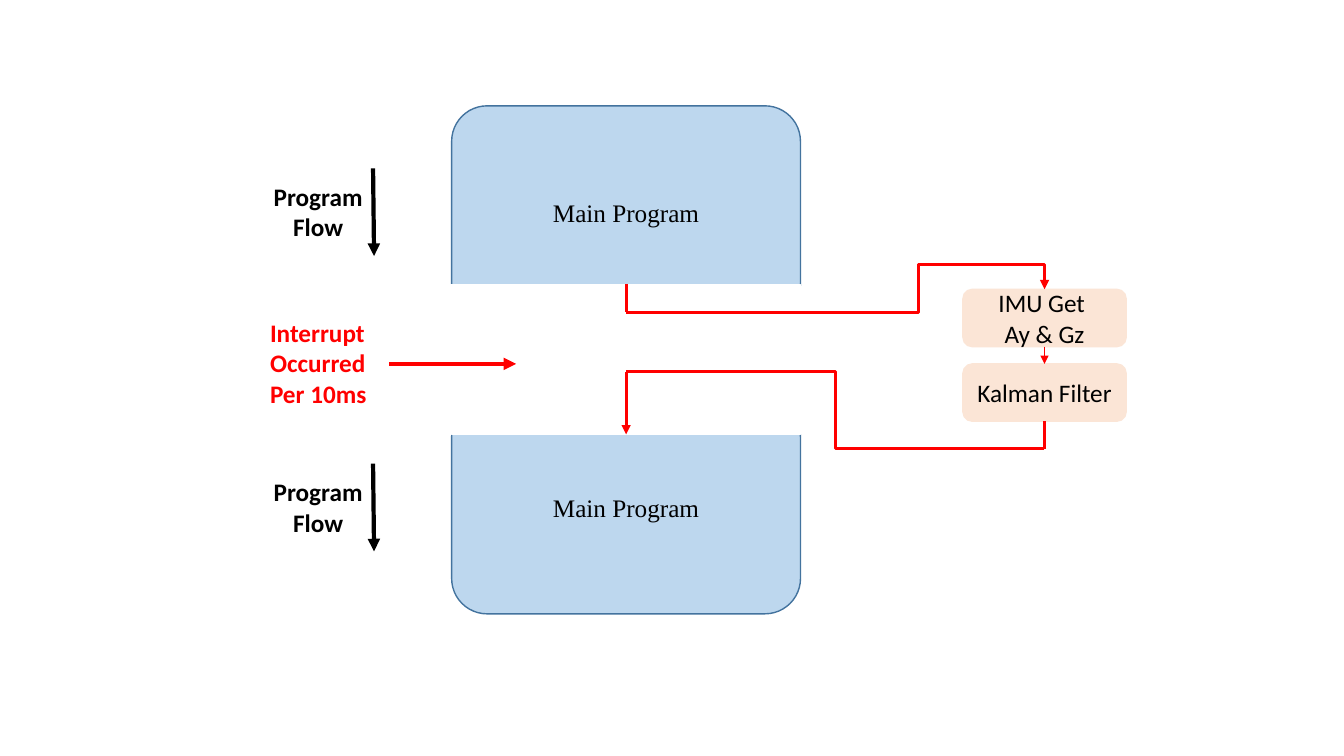
import dataclasses

import lxml.etree
import pptx
import pptx.dml.color
import pptx.enum.shapes
import pptx.enum.text
import pptx.oxml.ns
import pptx.util

Inches = pptx.util.Inches
Kind = pptx.enum.shapes.MSO_SHAPE
Wire = pptx.enum.shapes.MSO_CONNECTOR
Align = pptx.enum.text.PP_ALIGN
qn = pptx.oxml.ns.qn


@dataclasses.dataclass(frozen=True)
class Theme:
    black: str = "000000"
    white: str = "FFFFFF"
    red: str = "FF0000"
    blue: str = "BDD7EE"
    edge: str = "43739E"
    peach: str = "FBE5D6"
    sans: str = "Calibri"
    serif: str = "Times New Roman"
    size: float = 18
    thin: float = 0.5
    rim: float = 1
    route: float = 2.25
    thick: float = 3


def tint(code):
    return pptx.dml.color.RGBColor.from_string(code)


class Board:
    def __init__(self, slide, theme):
        self.slide = slide
        self.theme = theme

    def fill_text(self, frame, lines, font, color, bold=False,
                  align=Align.CENTER):
        for i, line in enumerate(lines):
            para = frame.paragraphs[0] if i == 0 else frame.add_paragraph()
            para.alignment = align
            run = para.add_run()
            run.text = line
            run.font.name = font
            run.font.size = pptx.util.Pt(self.theme.size)
            run.font.bold = bold
            run.font.color.rgb = tint(color)

    def block(self, kind, place, fill, edge, lines=(), font=None):
        shape = self.slide.shapes.add_shape(kind, *map(Inches, place))
        shape.shadow.inherit = False
        shape.fill.solid()
        shape.fill.fore_color.rgb = tint(fill)
        shape.line.color.rgb = tint(edge)
        shape.line.width = pptx.util.Pt(self.theme.rim)
        shape.text_frame.vertical_anchor = pptx.enum.text.MSO_ANCHOR.MIDDLE
        self.fill_text(shape.text_frame, lines, font, self.theme.black)
        return shape

    def label(self, place, lines, color, align=Align.CENTER):
        frame = self.slide.shapes.add_textbox(*map(Inches, place)).text_frame
        frame.word_wrap = False
        frame.auto_size = pptx.enum.text.MSO_AUTO_SIZE.SHAPE_TO_FIT_TEXT
        self.fill_text(frame, lines, self.theme.sans, color, True, align)

    def link(self, start, end, color, width, arrow=False, kind=Wire.STRAIGHT,
             source=None, target=None):
        line = self.slide.shapes.add_connector(
            kind, *map(Inches, (*start, *end)))
        line.line.color.rgb = tint(color)
        line.line.width = pptx.util.Pt(width)
        if arrow:
            lxml.etree.SubElement(
                line.line._get_or_add_ln(), qn("a:tailEnd"), type="triangle")
        lxml.etree.SubElement(line._element.spPr, qn("a:effectLst"))
        if source is not None:
            line.begin_connect(*source)
        if target is not None:
            line.end_connect(*target)
        return line

    def bend(self, line, preset, *ratios):
        shape = line._element.spPr.find(qn("a:prstGeom"))
        shape.set("prst", preset)
        guides = shape.find(qn("a:avLst"))
        for i, ratio in enumerate(ratios, 1):
            lxml.etree.SubElement(guides, qn("a:gd"), name=f"adj{i}",
                                  fmla=f"val {round(ratio * 100000)}")


def main():
    deck = pptx.Presentation()
    deck.slide_width = Inches(13.33)
    deck.slide_height = Inches(7.5)
    theme = Theme()
    board = Board(deck.slides.add_slide(deck.slide_layouts[6]), theme)

    for top in (1.05, 3.98):
        board.block(Kind.ROUNDED_RECTANGLE, (4.48, top, 3.46, 2.11),
                    theme.blue, theme.edge, ["Main Program"], theme.serif)
    gap = board.block(Kind.RECTANGLE, (4.48, 2.82, 3.46, 1.49),
                      theme.white, theme.white)

    for top in (1.67, 4.6):
        board.link((3.7, top), (3.71, top + 0.87), theme.black, theme.thick,
                   arrow=True)
        board.label((2.61, top + 0.08, 1.09, 0.71), ["Program", "Flow"],
                    theme.black)

    board.link((3.86, 3.61), (5.12, 3.61), theme.red, theme.thick, arrow=True)
    board.label((2.58, 3.1, 1.17, 1.01),
                ["Interrupt", "Occurred", "Per 10ms"], theme.red, Align.LEFT)

    sensor, filter_box = [
        board.block(Kind.ROUNDED_RECTANGLE, (9.55, top, 1.62, 0.57),
                    theme.peach, theme.peach, lines, theme.sans)
        for top, lines in ((2.87, ["IMU Get ", "Ay & Gz"]),
                           (3.61, ["Kalman Filter"]))]

    main_x, task_x = 6.21, 10.36
    red, width = theme.red, theme.route
    board.link((main_x, 2.82), (main_x, 3.1), red, width, source=(gap, 0))
    board.link((main_x, 3.1), (8.75, 3.1), red, width)
    call = board.link((8.67, 3.1), (task_x, 2.87), red, width, arrow=True,
                      kind=Wire.ELBOW)
    board.bend(call, "bentConnector4", 0.26, 2.08)
    board.link((task_x, 4.18), (task_x, 4.45), red, width,
               source=(filter_box, 2))
    board.link((task_x, 4.45), (main_x, 3.69), red, width, kind=Wire.ELBOW)
    board.link((main_x, 3.69), (main_x, 4.31), red, width, arrow=True,
               target=(gap, 2))
    board.link((task_x, 3.44), (task_x, 3.61), red, theme.thin, arrow=True,
               source=(sensor, 2), target=(filter_box, 0))

    deck.save("out.pptx")


if __name__ == "__main__":
    main()
